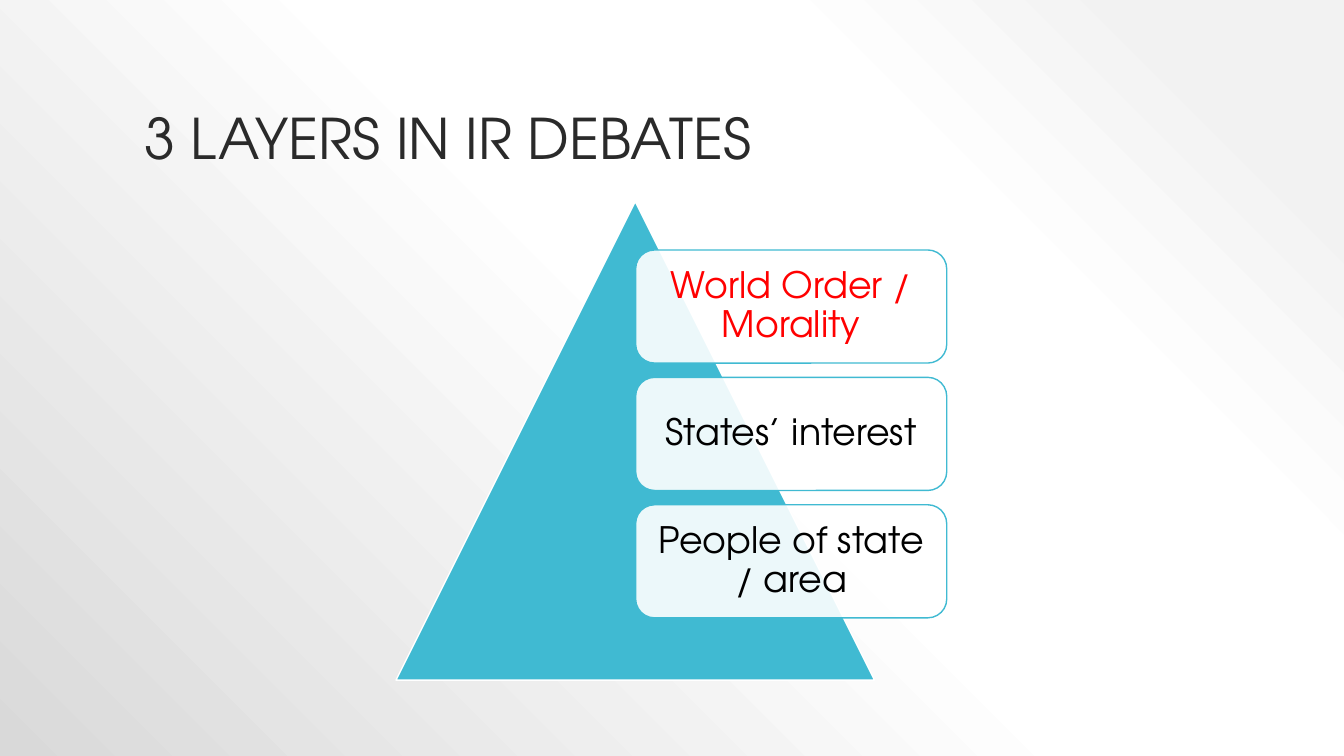
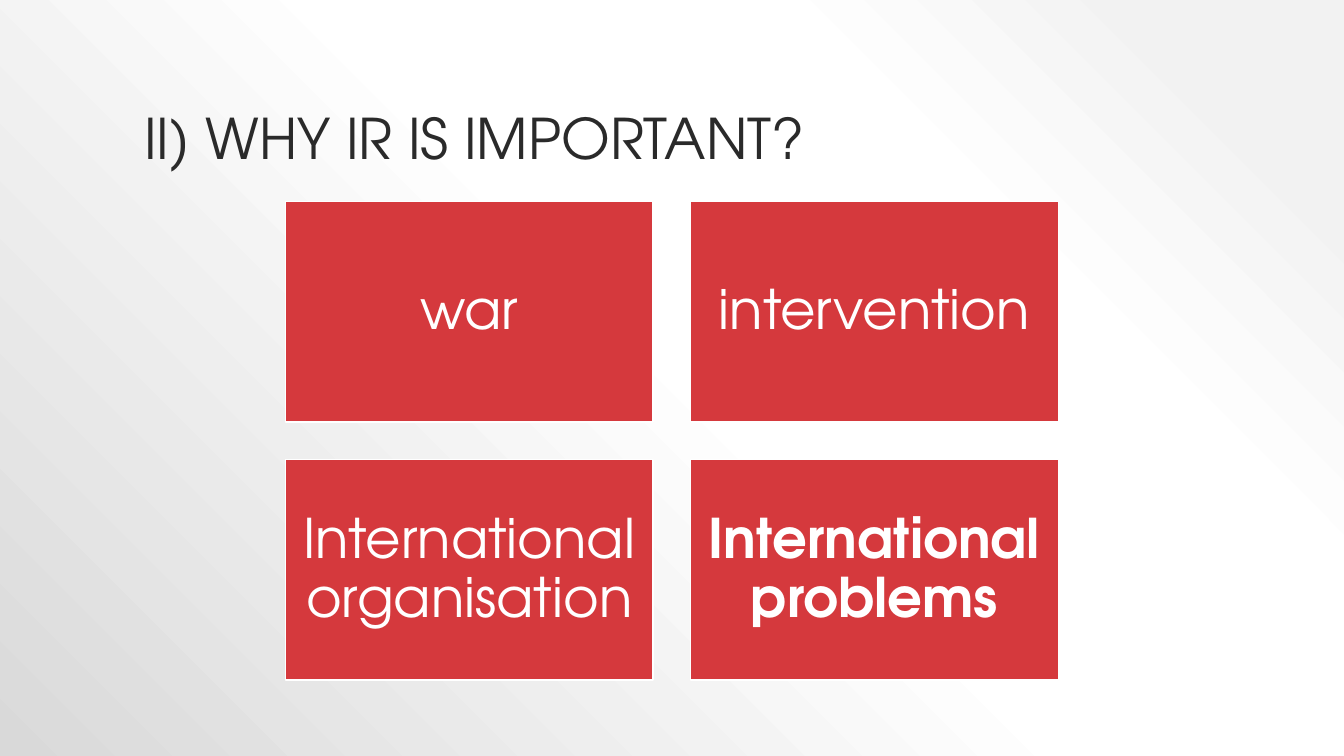
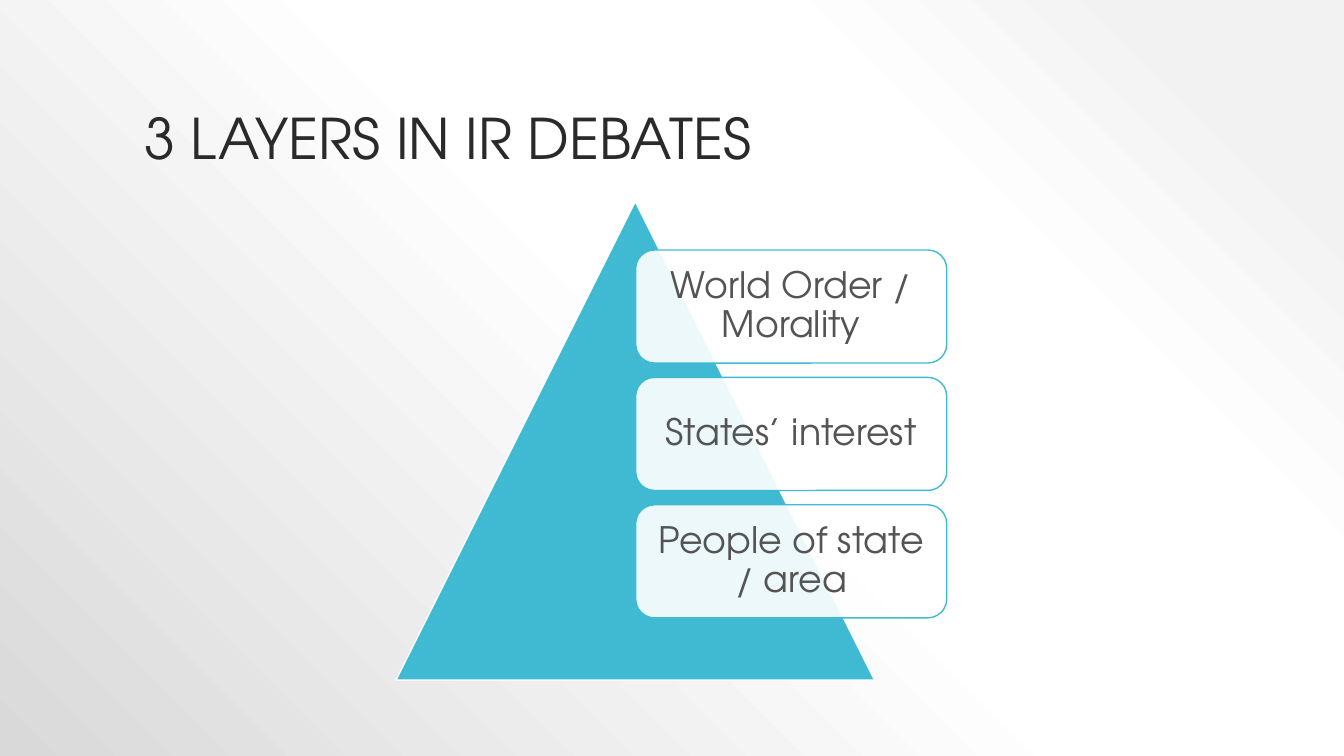
"""Build three slides on the layers and the weight of IR debates."""
import lxml.etree
import pptx
import pptx.dml.color
import pptx.enum.shapes
import pptx.enum.text
import pptx.oxml
import pptx.oxml.ns
import pptx.util

Cm = pptx.util.Cm
Pt = pptx.util.Pt
Color = pptx.dml.color.RGBColor
Shape = pptx.enum.shapes.MSO_SHAPE
Align = pptx.enum.text.PP_ALIGN
Anchor = pptx.enum.text.MSO_ANCHOR

FONT = "TeX Gyre Adventor"
INK = Color(0x2A, 0x2A, 0x2A)
GREY = Color(0x54, 0x54, 0x54)
BLACK = Color(0x00, 0x00, 0x00)
WHITE = Color(0xFF, 0xFF, 0xFF)
BRIGHT = Color(0xFF, 0x00, 0x00)
RED = Color(0xD5, 0x39, 0x3D)
TEAL = Color(0x40, 0xBA, 0xD2)
PALE = Color(0xF2, 0xF2, 0xF2)
SHADE = Color(0xD9, 0xD9, 0xD9)
STOPS = [(10, PALE), (28, WHITE), (48, WHITE), (100, SHADE)]

LAYERS = ["World Order / Morality", "States’ interest", "People of state / area"]
CAUSES = ["war", "intervention", "International organisation", "International problems"]


class Deck:
    def __init__(self):
        self.show = pptx.Presentation()
        self.show.slide_width = Cm(33.87)
        self.show.slide_height = Cm(19.05)
        self.slide = None
        self.paint()

    def paint(self):
        master = self.show.slide_master
        master.background.fill.solid()
        ground = master.element.xpath("p:cSld/p:bg/p:bgPr")[0]
        stops = "".join(
            f'<a:gs pos="{place * 1000}"><a:srgbClr val="{color}"/></a:gs>'
            for place, color in STOPS
        )
        blend = pptx.oxml.parse_xml(
            f'<a:gradFill {pptx.oxml.ns.nsdecls("a")} rotWithShape="1">'
            f'<a:gsLst>{stops}</a:gsLst><a:path path="circle">'
            '<a:fillToRect l="100000" b="100000"/></a:path></a:gradFill>'
        )
        ground.replace(ground[0], blend)

    def page(self, title):
        self.slide = self.show.slides.add_slide(self.show.slide_layouts[6])
        box = self.slide.shapes.add_textbox(Cm(3.39), Cm(0.76), Cm(27.1), Cm(3.68))
        box.text_frame.vertical_anchor = Anchor.BOTTOM
        self.label(box, title, 40, INK, Align.LEFT)

    def label(self, shape, text, size, color, align=Align.CENTER, bold=False):
        shape.text_frame.word_wrap = True
        line = shape.text_frame.paragraphs[0]
        line.alignment = align
        line.line_spacing = 0.9
        run = line.add_run()
        run.text = text
        run.font.name = FONT
        run.font.size = Pt(size)
        run.font.bold = bold
        run.font.color.rgb = color

    def block(self, kind, left, top, width, height, fill, edge):
        shape = self.slide.shapes.add_shape(
            kind, Cm(left), Cm(top), Cm(width), Cm(height)
        )
        shape.shadow.inherit = False
        shape.fill.solid()
        shape.fill.fore_color.rgb = fill
        shape.line.color.rgb = edge
        shape.line.width = Pt(1)
        frame = shape.text_frame
        frame.vertical_anchor = Anchor.MIDDLE
        frame.margin_left = frame.margin_right = Cm(0.41)
        frame.margin_top = frame.margin_bottom = Cm(0.41)
        return shape

    def card(self, row, text, color):
        shape = self.block(
            Shape.ROUNDED_RECTANGLE, 16.02, 6.3 + row * 3.21, 7.84, 2.85, WHITE, TEAL
        )
        tint = shape.element.xpath("p:spPr/a:solidFill/a:srgbClr")[0]
        lxml.etree.SubElement(tint, pptx.oxml.ns.qn("a:alpha"), val="90000")
        self.label(shape, text, 26, color)

    def tile(self, spot, text, bold):
        row, col = divmod(spot, 2)
        wide, high, gap = 9.27, 5.56, 0.94
        shape = self.block(
            Shape.RECTANGLE, 7.19 + col * (wide + gap), 5.08 + row * (high + gap),
            wide, high, RED, WHITE,
        )
        self.label(shape, text, 39, WHITE, bold=bold)

    def layers(self, colors):
        self.page("3 LAYERS IN IR DEBATES")
        self.block(Shape.ISOSCELES_TRIANGLE, 9.98, 5.08, 12.06, 12.06, TEAL, WHITE)
        for row, (text, color) in enumerate(zip(LAYERS, colors)):
            self.card(row, text, color)

    def causes(self):
        self.page("II) WHY IR IS IMPORTANT?")
        for spot, text in enumerate(CAUSES):
            self.tile(spot, text, text == CAUSES[-1])


def main():
    deck = Deck()
    deck.layers([BRIGHT, BLACK, BLACK])
    deck.causes()
    deck.layers([GREY] * 3)
    deck.show.save("out.pptx")


if __name__ == "__main__":
    main()
